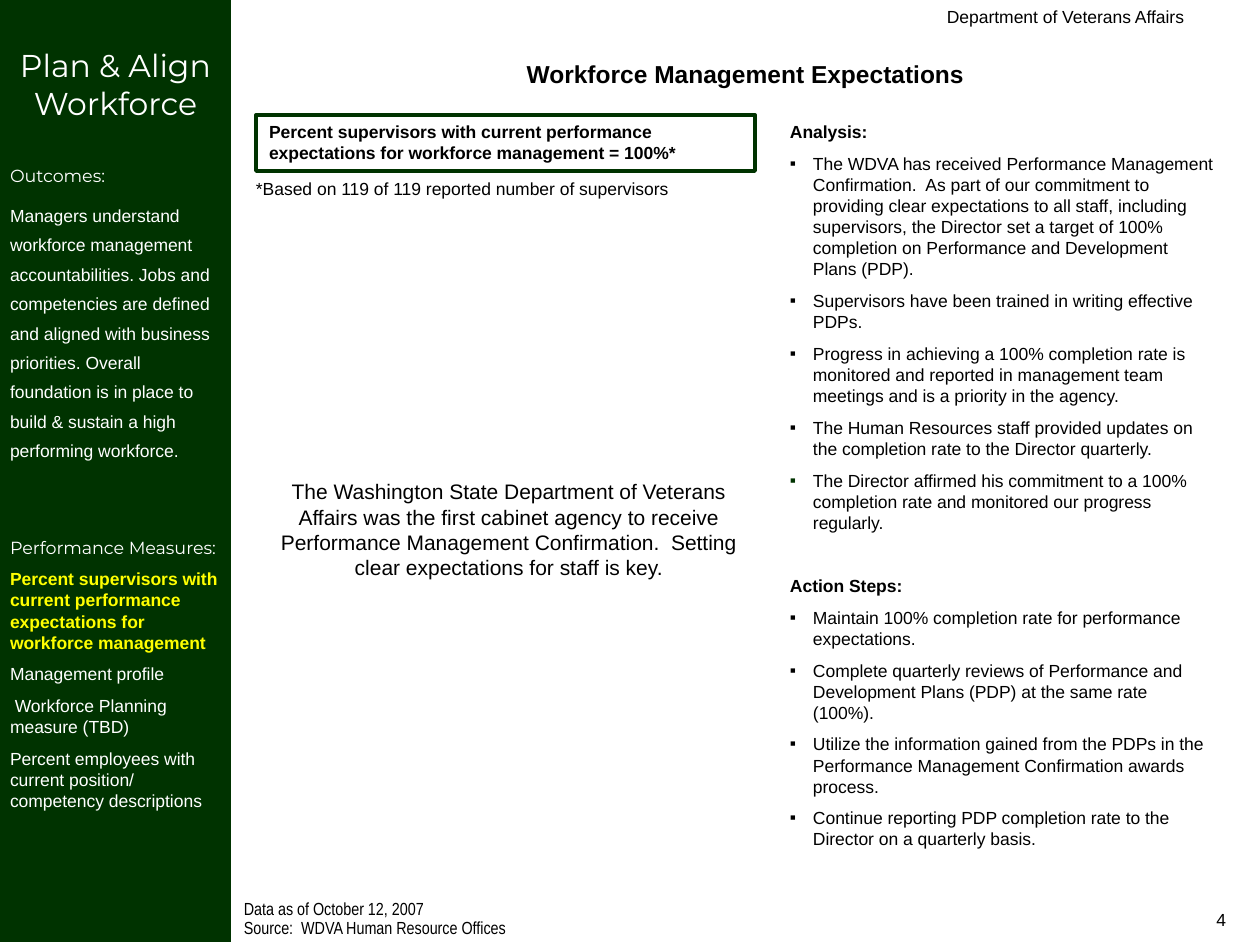
from lxml import etree
from pptx import Presentation
from pptx import util as u
from pptx.dml.color import RGBColor
from pptx.enum import shapes, text
from pptx.oxml import ns

PX = 914400 // 126  # EMU in one px
GREEN = RGBColor(0x00, 0x33, 0x00)
WHITE = RGBColor(0xFF, 0xFF, 0xFF)
BLACK = RGBColor(0x00, 0x00, 0x00)
YELLOW = RGBColor(0xFF, 0xFF, 0x00)
LEFT, MID, RIGHT = text.PP_ALIGN.LEFT, text.PP_ALIGN.CENTER, text.PP_ALIGN.RIGHT
GAP = 6.2  # usual space before a paragraph, pt

OUTCOME = ("Managers understand workforce management accountabilities. "
           "Jobs and competencies are defined and aligned with business "
           "priorities. Overall foundation is in place to build & sustain "
           "a high performing workforce.")
MEASURES = [
    "Management profile",
    " Workforce Planning measure (TBD)",
    "Percent employees with current position/ competency descriptions",
]
ANALYSIS = [
    "The WDVA has received Performance Management Confirmation.  As part of "
    "our commitment to providing clear expectations to all staff, including "
    "supervisors, the Director set a target of 100% completion on "
    "Performance and Development Plans (PDP).",
    "Supervisors have been trained in writing effective PDPs.",
    "Progress in achieving a 100% completion rate is monitored and reported "
    "in management team meetings and is a priority in the agency.",
    "The Human Resources staff provided updates on the completion rate to "
    "the Director quarterly.",
    "The Director affirmed his commitment to a 100% completion rate and "
    "monitored our progress regularly.",
]
ACTIONS = [
    "Maintain 100% completion rate for performance expectations.",
    "Complete quarterly reviews of Performance and Development Plans (PDP) "
    "at the same rate (100%).",
    "Utilize the information gained from the PDPs in the Performance "
    "Management Confirmation awards process.",
    "Continue reporting PDP completion rate to the Director on a quarterly "
    "basis.",
]


def place(shape, box, pad=(13, 6)):
    """Move a shape to a px box and ready its text frame."""
    shape.left, shape.top, shape.width, shape.height = (n * PX for n in box)
    frame = shape.text_frame
    frame.word_wrap = True
    frame.auto_size = text.MSO_AUTO_SIZE.NONE
    frame.vertical_anchor = text.MSO_ANCHOR.TOP
    frame.margin_left = frame.margin_right = pad[0] * PX
    frame.margin_top = frame.margin_bottom = pad[1] * PX
    return frame


def mark(para, color, indent=23):
    """Give a paragraph a hanging indent, and a bullet if it has a color."""
    props = para._p.get_or_add_pPr()
    props.set("marL", str(indent * PX))
    props.set("indent", str(-indent * PX))
    if color is None:
        etree.SubElement(props, ns.qn("a:buNone"))
        return
    tint = etree.SubElement(props, ns.qn("a:buClr"))
    etree.SubElement(tint, ns.qn("a:srgbClr")).set("val", str(color))
    etree.SubElement(props, ns.qn("a:buFont")).set("typeface", "Arial")
    etree.SubElement(props, ns.qn("a:buChar")).set("char", "▪")


def write(frame, words, size=10, face="Arial", color=BLACK, bold=False,
          align=LEFT, gap=GAP, line=1.0, item=False, dot=None):
    """Add one formatted paragraph; the first one has no space before."""
    first = not frame.paragraphs[0].runs
    para = frame.paragraphs[0] if first else frame.add_paragraph()
    if item:
        mark(para, dot)
    para.alignment = align
    para.space_before = u.Pt(0 if first else gap)
    para.line_spacing = line
    run = para.add_run()
    run.text = words
    run.font.size, run.font.name, run.font.bold = u.Pt(size), face, bold
    run.font.color.rgb = color


def label(slide, box, words, **form):
    write(place(slide.shapes.add_textbox(0, 0, 0, 0), box), words, **form)


def panel(slide, box, fill=None, edge=None, pad=(13, 6)):
    shape = slide.shapes.add_shape(shapes.MSO_SHAPE.RECTANGLE, 0, 0, 0, 0)
    shape.shadow.inherit = False
    if fill is None:
        shape.fill.background()
    else:
        shape.fill.solid()
        shape.fill.fore_color.rgb = fill
    if edge is None:
        shape.line.fill.background()
    else:
        shape.line.color.rgb = edge
        shape.line.width = u.Pt(2.25)
    return place(shape, box, pad)


def sidebar(slide, box):
    frame = panel(slide, box, fill=GREEN, pad=(10, 46))
    head = {"face": "Montserrat", "color": WHITE}
    write(frame, "Plan & Align Workforce", size=18, align=MID, **head)
    write(frame, "Outcomes:", gap=24.6, **head)
    write(frame, OUTCOME, color=WHITE, line=1.4)
    write(frame, "Performance Measures:", gap=43, **head)
    write(frame, "Percent supervisors with current performance expectations "
          "for workforce management", color=YELLOW, bold=True)
    for words in MEASURES:
        write(frame, words, color=WHITE)


def results(slide, box):
    left, top, wide, _ = box
    # Framed measure and its footnote
    frame = panel(slide, (left + 5, top, wide - 15, 56), edge=GREEN)
    write(frame, "Percent supervisors with current performance expectations "
          "for workforce management = 100%*", bold=True)
    label(slide, (left - 8, top + 57, wide - 15, 34),
          "*Based on 119 of 119 reported number of supervisors")
    # Main message
    label(slide, (left + 1, top + 358, wide, 113),
          "The Washington State Department of Veterans Affairs was the first "
          "cabinet agency to receive Performance Management Confirmation.  "
          "Setting clear expectations for staff is key.",
          size=12, align=MID)


def review(slide, box):
    frame = place(slide.placeholders[1], box)
    parts = [("Analysis:", ANALYSIS, GREEN), ("Action Steps:", ACTIONS, BLACK)]
    for head, items, last in parts:
        write(frame, head, bold=True, item=True, gap=23.9)
        for words in items:
            dot = last if words is items[-1] else BLACK
            write(frame, words, item=True, dot=dot)


def footer(slide, box):
    left, top, wide, high = box
    frame = place(slide.shapes.add_textbox(0, 0, 0, 0),
                  (left, top, 609, high))
    for words in ("Data as of October 12, 2007",
                  "Source:  WDVA Human Resource Offices"):
        write(frame, words, face="Arial Narrow", gap=2.5, line=0.7)
    label(slide, (left + wide - 315, top + 5, 294, 42), "4", align=RIGHT)


def main():
    deck = Presentation()
    deck.slide_width, deck.slide_height = 1260 * PX, 945 * PX
    slide = deck.slides.add_slide(deck.slide_layouts[1])
    # Header
    write(place(slide.shapes.title, (231, 53, 1029, 43)),
          "Workforce Management Expectations", size=14, bold=True, align=MID)
    label(slide, (567, 0, 630, 32), "Department of Veterans Affairs",
          align=RIGHT)
    # Columns and footer
    sidebar(slide, (0, 0, 231, 942))
    results(slide, (251, 115, 514, 471))
    review(slide, (777, 115, 449, 806))
    footer(slide, (231, 898, 1029, 47))
    deck.save("out.pptx")


if __name__ == "__main__":
    main()
